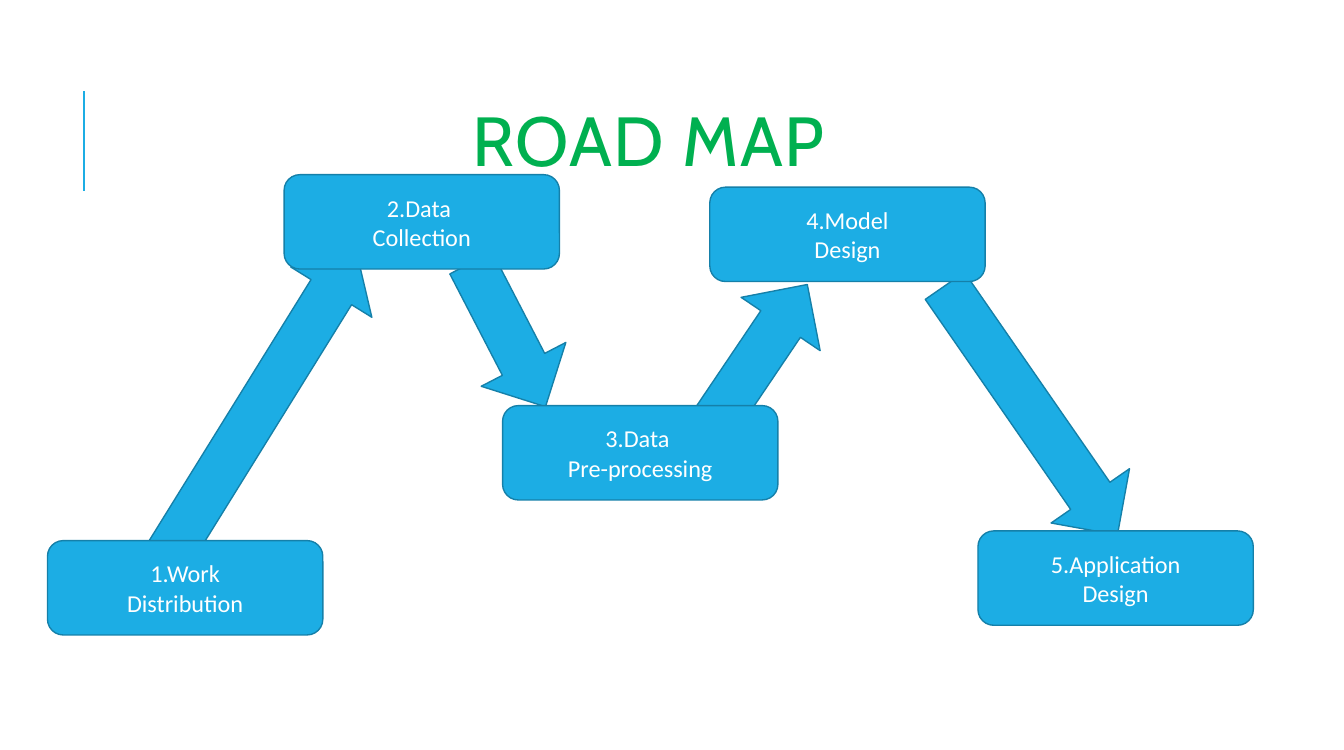
from dataclasses import dataclass

from lxml import etree
from pptx import Presentation
from pptx import util as u
from pptx.dml.color import RGBColor
from pptx.enum import shapes, text
from pptx.oxml.ns import qn
from pptx.shapes.autoshape import Shape
from pptx.slide import Slide


@dataclass(frozen=True)
class Theme:
    fill: RGBColor = RGBColor.from_string("1CADE4")
    outline: RGBColor = RGBColor.from_string("1580A9")
    title: RGBColor = RGBColor.from_string("00B050")
    label: RGBColor = RGBColor.from_string("FFFFFF")
    title_font: str = "Cabin"
    label_font: str = "Calibri"
    title_size: u.Pt = u.Pt(63)
    label_size: u.Pt = u.Pt(22)
    outline_width: u.Pt = u.Pt(1.25)
    rule_width: u.Pt = u.Pt(1.5)


@dataclass(frozen=True)
class Step:
    label: str
    left: float
    top: float


@dataclass(frozen=True)
class Arrow:
    left: float
    top: float
    length: float
    rotation: float


THEME = Theme()
STEP_WIDTH, STEP_HEIGHT = 8.81, 3.02
ARROW_HEIGHT = 3.05

STEPS = [
    Step("1.Work\nDistribution", 1.52, 17.3),
    Step("2.Data \nCollection", 9.09, 5.59),
    Step("3.Data \nPre-processing", 16.08, 12.98),
    Step("4.Model\nDesign", 22.71, 5.99),
    Step("5.Application\nDesign", 31.29, 16.99),
]
ARROWS = [
    Arrow(2.74, 11.35, 11.35, 301.8),
    Arrow(13.67, 9.19, 5.18, 62.6),
    Arrow(21.69, 9.78, 5.31, 304),
    Arrow(28.14, 11.61, 9.7, 55.3),
]


def add_block(s: Slide, kind: shapes.MSO_SHAPE, left: float, top: float,
              width: float, height: float) -> Shape:
    """Add a preset shape in the fill and outline shared by steps and arrows."""
    sp = s.shapes.add_shape(kind, u.Cm(left), u.Cm(top), u.Cm(width), u.Cm(height))
    sp.shadow.inherit = False
    sp.fill.solid()
    sp.fill.fore_color.rgb = THEME.fill
    sp.line.color.rgb = THEME.outline
    sp.line.width = THEME.outline_width
    return sp


def add_arrow(s: Slide, arrow: Arrow) -> None:
    sp = add_block(s, shapes.MSO_SHAPE.RIGHT_ARROW, arrow.left, arrow.top,
                   arrow.length, ARROW_HEIGHT)
    sp.rotation = arrow.rotation


def add_step(s: Slide, step: Step) -> None:
    sp = add_block(s, shapes.MSO_SHAPE.ROUNDED_RECTANGLE, step.left, step.top,
                   STEP_WIDTH, STEP_HEIGHT)
    tf = sp.text_frame
    tf.word_wrap = True
    tf.vertical_anchor = text.MSO_ANCHOR.MIDDLE
    tf.margin_left = tf.margin_right = u.Cm(0.3)
    tf.margin_top = tf.margin_bottom = u.Cm(0.15)
    tf.text = step.label
    for p in tf.paragraphs:
        p.alignment = text.PP_ALIGN.CENTER
        p.font.name = THEME.label_font
        p.font.size = THEME.label_size
        p.font.color.rgb = THEME.label


def add_title(s: Slide, title: str) -> None:
    sp = s.shapes.add_textbox(u.Cm(3.61), u.Cm(2.06), u.Cm(34.29), u.Cm(5.26))
    tf = sp.text_frame
    tf.word_wrap = True
    tf.vertical_anchor = text.MSO_ANCHOR.MIDDLE
    p = tf.paragraphs[0]
    p.alignment = text.PP_ALIGN.CENTER
    p.line_spacing = 0.8
    p.font.name = THEME.title_font
    p.font.size = THEME.title_size
    p.font.color.rgb = THEME.title
    r = p.add_run()
    r.text = title
    r._r.get_or_add_rPr().set("spc", "130")


def add_title_rule(s: Slide) -> None:
    x = u.Cm(2.69)
    rule = s.shapes.add_connector(shapes.MSO_CONNECTOR.STRAIGHT, x, u.Cm(6.1), x, u.Cm(2.9))
    rule.line.color.rgb = THEME.fill
    rule.line.width = THEME.rule_width
    etree.SubElement(rule._element.spPr, qn("a:effectLst"))


def main() -> None:
    prs = Presentation()
    prs.slide_width, prs.slide_height = u.Cm(43), u.Cm(24)
    s = prs.slides.add_slide(prs.slide_layouts[6])
    add_title_rule(s)
    for arrow in ARROWS:
        add_arrow(s, arrow)
    add_title(s, "ROAD MAP")
    for step in STEPS:
        add_step(s, step)
    prs.save("out.pptx")


if __name__ == "__main__":
    main()
